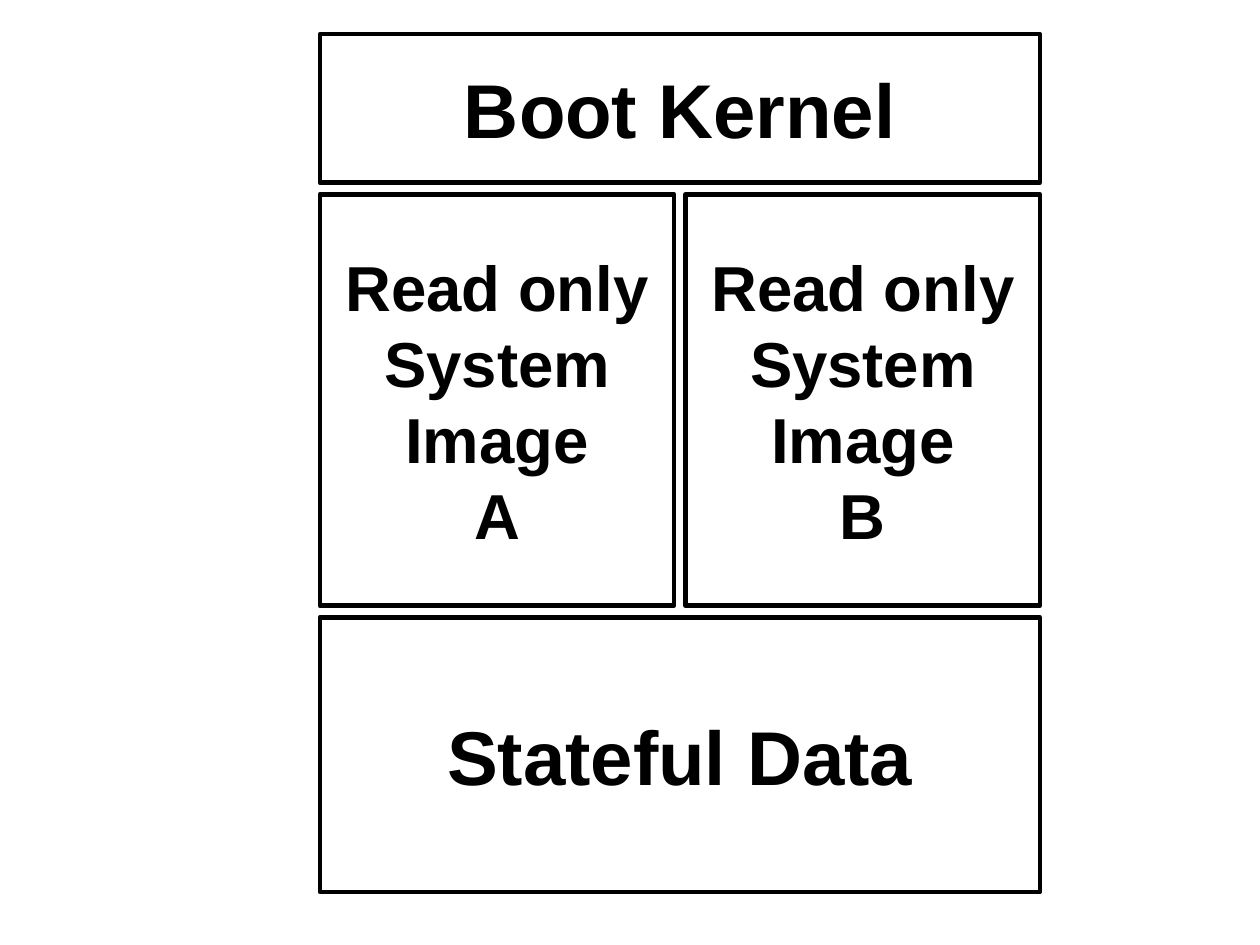
from dataclasses import dataclass

from lxml import etree
from pptx import Presentation
from pptx import util as u
from pptx.dml.color import RGBColor
from pptx.enum import shapes, text
from pptx.oxml.ns import qn
from pptx.slide import Slide

LEFT, TOP, GAP = 7.11, 0.76, 0.26
FULL_WIDTH = 16.0
HALF_WIDTH = (FULL_WIDTH - GAP) / 2
BOOT_HEIGHT, SYSTEM_HEIGHT, DATA_HEIGHT = 3.3, 9.14, 6.1
SYSTEM_TOP = TOP + BOOT_HEIGHT + GAP
DATA_TOP = SYSTEM_TOP + SYSTEM_HEIGHT + GAP

FRAME_FORMAT = {
    "margin_left": u.Cm(0.3),
    "margin_right": u.Cm(0.3),
    "margin_top": u.Cm(0.18),
    "margin_bottom": u.Cm(0.18),
    "word_wrap": False,
    "vertical_anchor": text.MSO_ANCHOR.MIDDLE,
}
FONT_FORMAT = {"name": "Arial", "bold": True}


@dataclass(frozen=True)
class Partition:
    lines: tuple[str, ...]
    left: float
    top: float
    width: float
    height: float
    font_size: int


def color(value: str) -> RGBColor:
    return RGBColor.from_string(value)


def apply_format(target: object, values: dict[str, object]) -> None:
    for name, value in values.items():
        setattr(target, name, value)


def draw_partition(slide: Slide, partition: Partition) -> None:
    bounds = (partition.left, partition.top, partition.width, partition.height)
    shape = slide.shapes.add_shape(
        shapes.MSO_SHAPE.RECTANGLE, *(u.Cm(length) for length in bounds)
    )
    shape.shadow.inherit = False
    shape.fill.solid()
    shape.fill.fore_color.rgb = color("FFFFFF")
    shape.line.color.rgb = color("000000")
    shape.line.width = u.Pt(2.89)
    outline = shape.element.spPr.find(qn("a:ln"))
    etree.SubElement(outline, qn("a:round"))

    frame = shape.text_frame
    apply_format(frame, FRAME_FORMAT)
    frame.text = "\n".join(partition.lines)
    for paragraph in frame.paragraphs:
        paragraph.alignment = text.PP_ALIGN.CENTER
        apply_format(paragraph.font, FONT_FORMAT)
        paragraph.font.size = u.Pt(partition.font_size)
        paragraph.font.color.rgb = color("000000")


def main() -> None:
    presentation = Presentation()
    presentation.slide_width = u.Cm(28)
    presentation.slide_height = u.Cm(21)
    slide = presentation.slides.add_slide(presentation.slide_layouts[6])

    system_images = [
        Partition(
            ("Read only", "System", "Image", letter),
            LEFT + column * (HALF_WIDTH + GAP),
            SYSTEM_TOP,
            HALF_WIDTH,
            SYSTEM_HEIGHT,
            40,
        )
        for column, letter in enumerate("AB")
    ]
    partitions = [
        Partition(("Boot Kernel",), LEFT, TOP, FULL_WIDTH, BOOT_HEIGHT, 48),
        *system_images,
        Partition(("Stateful Data",), LEFT, DATA_TOP, FULL_WIDTH, DATA_HEIGHT, 48),
    ]
    for partition in partitions:
        draw_partition(slide, partition)

    presentation.save("out.pptx")


if __name__ == "__main__":
    main()
